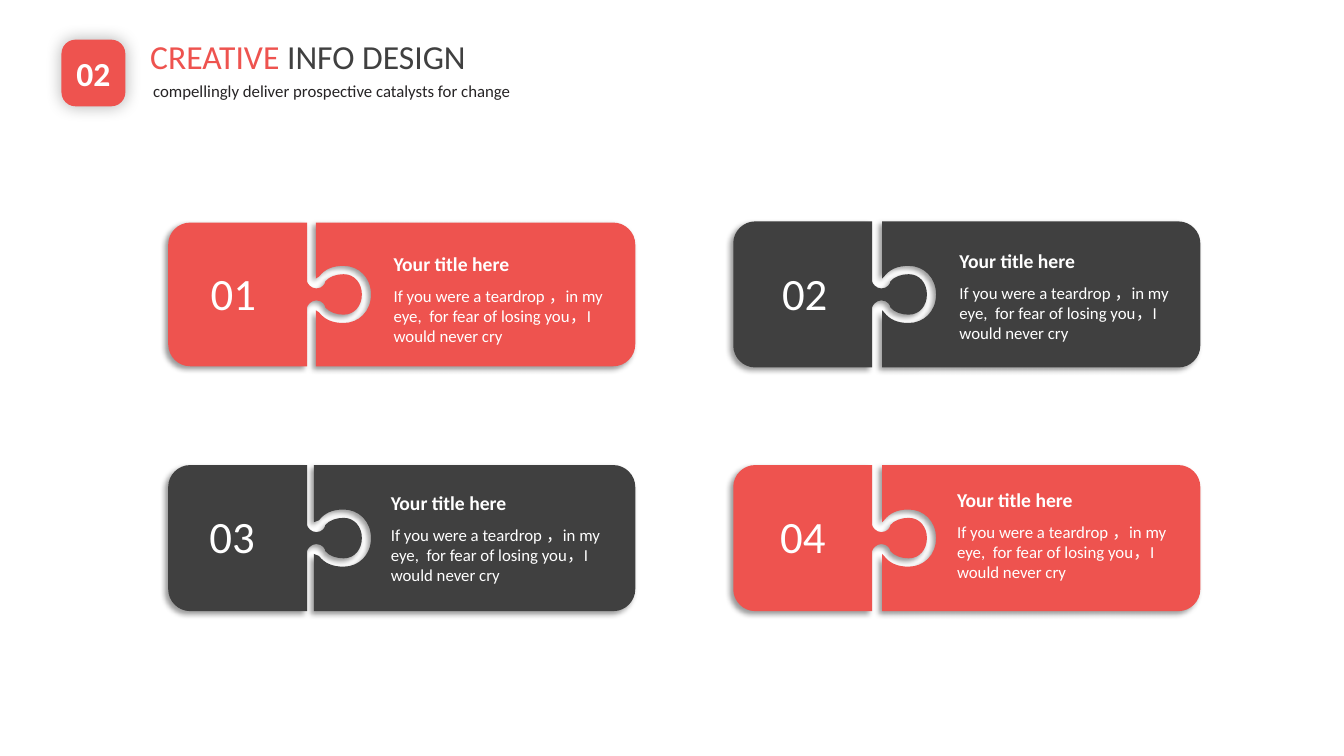
"""Builds a slide of four numbered puzzle cards under a badge and heading."""
from dataclasses import dataclass

from lxml import etree
from pptx import Presentation
from pptx.dml.color import RGBColor
from pptx.enum.shapes import MSO_SHAPE
from pptx.enum.text import MSO_ANCHOR, MSO_AUTO_SIZE, PP_ALIGN
from pptx.oxml.ns import qn
from pptx.util import Cm, Pt

ROUND = MSO_SHAPE.ROUNDED_RECTANGLE
MIDDLE = MSO_ANCHOR.MIDDLE
GROW, FIXED = MSO_AUTO_SIZE.SHAPE_TO_FIT_TEXT, MSO_AUTO_SIZE.NONE
LEFT, CENTER, JUSTIFY = PP_ALIGN.LEFT, PP_ALIGN.CENTER, PP_ALIGN.JUSTIFY

WIDE, EDGE, CURVE = 11.77, 3.5, 0.55
BODY = "If you were a teardrop ，in my eye,  for fear of losing you，I  would never cry"


@dataclass
class Theme:
    font: str = "Calibri"
    red: str = "EE534F"
    dark: str = "404040"
    ink: str = "262425"
    white: str = "FFFFFF"
    head: int = 24
    digit: int = 32
    label: int = 14
    body: int = 12


def trace(start, *steps):
    """List curve points, three a step, then mirror them below the middle."""
    points = [start]
    for step in steps:
        points += step if len(step) == 3 else step * 3
    return points + [(x, -y) for x, y in reversed(points[:-1])]


def tab(half):
    """Return the outline of the number piece with its knob."""
    return trace(
        (0, CURVE - half),
        ((0, 0.25 - half), (0.25, -half), (CURVE, -half)),
        ((EDGE, -half),),
        ((EDGE, -0.33),),
        ((EDGE, -0.28), (3.6, -0.15), (3.73, -0.15)),
        ((3.89, -0.15), (3.96, -0.28), (3.96, -0.33)),
        ((4.06, -0.45), (4.24, -0.51), (4.42, -0.51)),
        ((4.7, -0.51), (4.88, -0.28), (4.88, 0)))


def slot(half, side):
    """Return the outline of the text piece with its socket."""
    return trace(
        (WIDE, CURVE - half),
        ((WIDE, 0.25 - half), (WIDE - 0.25, -half), (WIDE - CURVE, -half)),
        ((side, -half),),
        ((side, -0.4),),
        ((3.8, -0.45),),
        ((3.94, -0.63), (4.13, -0.72), (4.42, -0.72)),
        ((4.8, -0.72), (5.11, -0.43), (5.11, 0)))


class Board:
    """Holds the theme and the current slide."""

    def __init__(self, slide, theme):
        self.slide, self.theme = slide, theme

    def style(self, run, size, color, bold=False):
        """Format one run."""
        font = run.font
        font.name, font.size, font.bold = self.theme.font, Pt(size), bold
        font.color.rgb = RGBColor.from_string(color)

    def paint(self, shape, fill, alpha, blur, dist, turn):
        """Fill a shape and give it a soft shadow."""
        shape.fill.solid()
        shape.fill.fore_color.rgb = RGBColor.from_string(fill)
        shape.line.fill.background()
        shape.shadow.inherit = False
        effect = shape._element.spPr.find(qn("a:effectLst"))
        shade = etree.SubElement(
            effect, qn("a:outerShdw"), blurRad=str(Pt(blur)), dist=str(Pt(dist)),
            dir=str(turn * 60000), algn="ctr", rotWithShape="0")
        black = etree.SubElement(shade, qn("a:srgbClr"), val="000000")
        etree.SubElement(black, qn("a:alpha"), val=str(alpha * 1000))

    def piece(self, points, left, mid, fill):
        """Draw one puzzle piece, joining each three points into a curve."""
        spots = [(Cm(left + x), Cm(mid + y)) for x, y in points]
        form = self.slide.shapes.build_freeform(*spots[0], scale=1.0)
        form.add_line_segments(spots[1:], close=True)
        shape = form.convert_to_shape()
        lines = list(shape._element.iter(qn("a:lnTo")))
        for i in range(0, len(lines), 3):
            arc = etree.Element(qn("a:cubicBezTo"))
            lines[i].addprevious(arc)
            for line in lines[i:i + 3]:
                arc.append(line[0])
                line.getparent().remove(line)
        self.paint(shape, fill, 40, 4, 3, 135)

    def text(self, words, place, size, color, bold=False, wrap=True, align=LEFT):
        """Add a text box."""
        box = self.slide.shapes.add_textbox(*map(Cm, place))
        frame = box.text_frame
        frame.text = words
        frame.word_wrap, frame.auto_size = wrap, GROW
        para = frame.paragraphs[0]
        para.alignment = align
        self.style(para.runs[0], size, color, bold)

    def badge(self, words, place):
        """Add the section badge."""
        shape = self.slide.shapes.add_shape(ROUND, *map(Cm, place))
        shape.adjustments[0] = 0.22
        self.paint(shape, self.theme.red, 30, 12, 0, 0)
        frame = shape.text_frame
        frame.text = words
        frame.vertical_anchor = MIDDLE
        para = frame.paragraphs[0]
        para.alignment = CENTER
        self.style(para.runs[0], self.theme.head, self.theme.white, True)

    def title(self, parts, place):
        """Fill the title placeholder with coloured parts."""
        shape = self.slide.shapes.title
        shape.left, shape.top, shape.width, shape.height = map(Cm, place)
        frame = shape.text_frame
        frame.word_wrap, frame.auto_size = True, FIXED
        frame.vertical_anchor = MIDDLE
        para = frame.paragraphs[0]
        para.alignment = LEFT
        for words, color in parts:
            run = para.add_run()
            run.text = words
            self.style(run, self.theme.head, color)

    def card(self, digit, fill, left, mid, half, side, num, note, top, width):
        """Add a two-piece card with its number, label and body."""
        look = self.theme
        self.piece(tab(half), left, mid, fill)
        self.piece(slot(half, side), left, mid, fill)
        self.text(BODY, (note, top + 0.86, width, 1.8), look.body, look.white)
        self.text("Your title here", (note, top, 3.76, 0.86), look.label, look.white, True)
        self.text(digit, (num, mid - 0.86, 1.68, 1.63), look.digit, look.white, wrap=False)


def main():
    """Build and save the deck."""
    deck = Presentation()
    deck.slide_width, deck.slide_height = Cm(33.87), Cm(19.05)
    look = Theme()
    board = Board(deck.slides.add_slide(deck.slide_layouts[5]), look)
    board.title((("CREATIVE", look.red), (" INFO DESIGN", look.dark)), (3.53, 0.53, 9.14, 1.78))
    board.text("compellingly deliver prospective catalysts for change",
               (3.61, 1.9, 10.16, 0.76), look.body, look.ink, align=JUSTIFY)
    board.badge("02", (1.55, 1, 1.61, 1.68))
    cards = (
        ("01", look.red, 4.24, 7.42, 1.81, 3.72, 5.06, 9.67, 6.22, 5.97),
        ("02", look.dark, 18.48, 7.42, 1.84, 3.75, 19.46, 23.93, 6.14, 5.97),
        ("03", look.dark, 4.24, 13.56, 1.84, 3.67, 5.03, 9.6, 12.24, 6.02),
        ("04", look.red, 18.48, 13.56, 1.84, 3.75, 19.41, 23.87, 12.16, 6.02))
    for card in cards:
        board.card(*card)
    deck.save("out.pptx")


if __name__ == "__main__":
    main()
